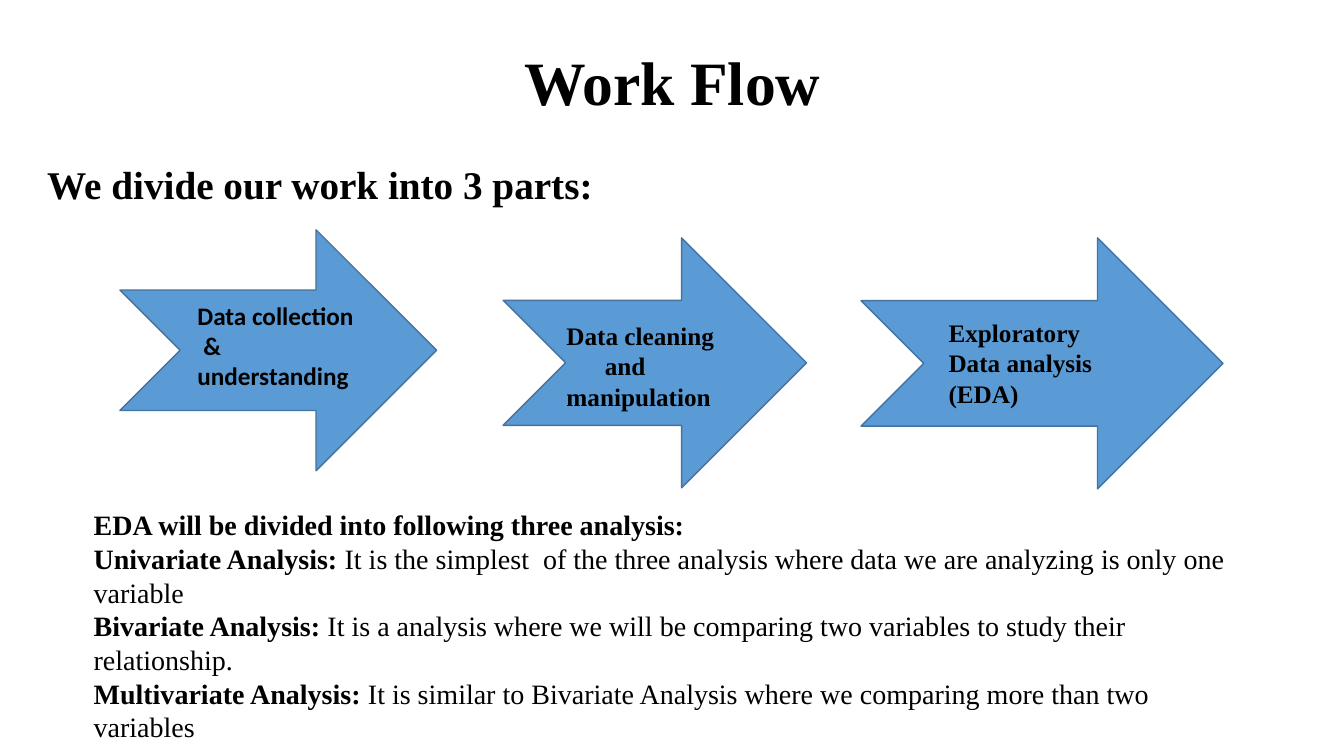
from dataclasses import dataclass

from pptx import Presentation
from pptx.dml.color import RGBColor
from pptx.enum.shapes import MSO_SHAPE
from pptx.enum.text import MSO_ANCHOR, MSO_AUTO_SIZE, PP_ALIGN
from pptx.slide import Slide
from pptx.text.text import TextFrame, _Paragraph
from pptx.util import Inches, Pt

NOTCHED_ARROW = MSO_SHAPE.NOTCHED_RIGHT_ARROW
MIDDLE = MSO_ANCHOR.MIDDLE
CENTER = PP_ALIGN.CENTER
NO_AUTOFIT = MSO_AUTO_SIZE.NONE
GROW_TO_TEXT = MSO_AUTO_SIZE.SHAPE_TO_FIT_TEXT
TITLE_ONLY_LAYOUT = 5


@dataclass(frozen=True)
class Theme:
    text: RGBColor = RGBColor(0x00, 0x00, 0x00)
    arrow_fill: RGBColor = RGBColor(0x5B, 0x9B, 0xD5)
    arrow_line: RGBColor = RGBColor(0x43, 0x73, 0x9E)
    serif: str = "Times New Roman"
    sans: str = "Calibri"
    title_size: int = 44
    heading_size: int = 28
    analysis_size: int = 20
    label_size: int = 18


THEME = Theme()


@dataclass(frozen=True)
class Box:
    left: float
    top: float
    width: float
    height: float

    def lengths(self) -> tuple[int, int, int, int]:
        return (Inches(self.left), Inches(self.top),
                Inches(self.width), Inches(self.height))


@dataclass(frozen=True)
class LabelLine:
    text: str
    indent: float = 0


@dataclass(frozen=True)
class Step:
    arrow: Box
    label: Box
    lines: tuple[LabelLine, ...]
    font_name: str = THEME.serif


@dataclass(frozen=True)
class Analysis:
    name: str
    description: str = ""


TITLE_BOX = Box(0.92, 0.4, 11.5, 0.9)
HEADING_BOX = Box(0.37, 1.59, 12.05, 5.16)
ANALYSIS_BOX = Box(0.83, 4.99, 11.59, 2.46)

STEPS = (
    Step(Box(1.19, 2.28, 3.14, 2.39), Box(1.86, 2.93, 1.8, 1.01),
         (LabelLine("Data collection"), LabelLine("&", 0.06),
          LabelLine("understanding")), THEME.sans),
    Step(Box(4.99, 2.36, 3.01, 2.48), Box(5.52, 3.13, 1.96, 1.01),
         (LabelLine("Data cleaning"), LabelLine("and", 0.38),
          LabelLine("manipulation"))),
    Step(Box(8.54, 2.36, 3.59, 2.49), Box(9.31, 3.1, 1.73, 1.01),
         (LabelLine("Exploratory Data analysis (EDA)"),)),
)

ANALYSES = (
    Analysis("EDA will be divided into following three analysis:"),
    Analysis("Univariate Analysis: ",
             "It is the simplest  of the three analysis where data we are "
             "analyzing is only one variable"),
    Analysis("Bivariate Analysis: ",
             "It is a analysis where we will be comparing two variables to "
             "study their relationship."),
    Analysis("Multivariate Analysis: ",
             "It is similar to Bivariate Analysis where we comparing more "
             "than two variables"),
)


def format_font(paragraph: _Paragraph, size: int,
                name: str = THEME.serif, bold: bool = True) -> None:
    font = paragraph.font
    font.name = name
    font.size = Pt(size)
    font.bold = bold
    font.color.rgb = THEME.text


def next_paragraph(frame: TextFrame, index: int) -> _Paragraph:
    """Return the frame's existing paragraph first, then new ones."""
    return frame.add_paragraph() if index else frame.paragraphs[0]


def add_text_frame(slide: Slide, box: Box,
                   auto_size: MSO_AUTO_SIZE = GROW_TO_TEXT) -> TextFrame:
    frame = slide.shapes.add_textbox(*box.lengths()).text_frame
    frame.word_wrap = True
    frame.auto_size = auto_size
    return frame


def add_title(slide: Slide) -> None:
    title = slide.shapes.title
    title.left, title.top, title.width, title.height = TITLE_BOX.lengths()
    frame = title.text_frame
    frame.text = "Work Flow"
    frame.vertical_anchor = MIDDLE
    frame.auto_size = NO_AUTOFIT
    paragraph = frame.paragraphs[0]
    paragraph.alignment = CENTER
    paragraph.line_spacing = 0.9
    format_font(paragraph, THEME.title_size)


def add_heading(slide: Slide) -> None:
    paragraph = add_text_frame(slide, HEADING_BOX, NO_AUTOFIT).paragraphs[0]
    paragraph.text = "We divide our work into 3 parts:"
    paragraph.line_spacing = 0.9
    paragraph.space_before = Pt(10)
    format_font(paragraph, THEME.heading_size)


def add_arrow(slide: Slide, box: Box) -> None:
    arrow = slide.shapes.add_shape(NOTCHED_ARROW, *box.lengths())
    arrow.shadow.inherit = False
    arrow.fill.solid()
    arrow.fill.fore_color.rgb = THEME.arrow_fill
    arrow.line.color.rgb = THEME.arrow_line
    arrow.line.width = Pt(1)


def add_step_label(slide: Slide, step: Step) -> None:
    frame = add_text_frame(slide, step.label)
    for index, line in enumerate(step.lines):
        paragraph = next_paragraph(frame, index)
        paragraph.text = line.text
        format_font(paragraph, THEME.label_size, step.font_name)
        if line.indent:
            properties = paragraph._p.get_or_add_pPr()
            properties.set("marL", str(Inches(line.indent)))


def add_analyses(slide: Slide) -> None:
    frame = add_text_frame(slide, ANALYSIS_BOX)
    for index, analysis in enumerate(ANALYSES):
        paragraph = next_paragraph(frame, index)
        format_font(paragraph, THEME.analysis_size, bold=False)
        name = paragraph.add_run()
        name.text = analysis.name
        name.font.bold = True
        if analysis.description:
            paragraph.add_run().text = analysis.description


def main() -> None:
    presentation = Presentation()
    presentation.slide_width = Inches(13.33)
    presentation.slide_height = Inches(7.5)
    layout = presentation.slide_layouts[TITLE_ONLY_LAYOUT]
    slide = presentation.slides.add_slide(layout)
    add_title(slide)
    add_heading(slide)
    for step in STEPS:
        add_arrow(slide, step.arrow)
    add_analyses(slide)
    for step in STEPS:
        add_step_label(slide, step)
    presentation.save("out.pptx")


if __name__ == "__main__":
    main()
